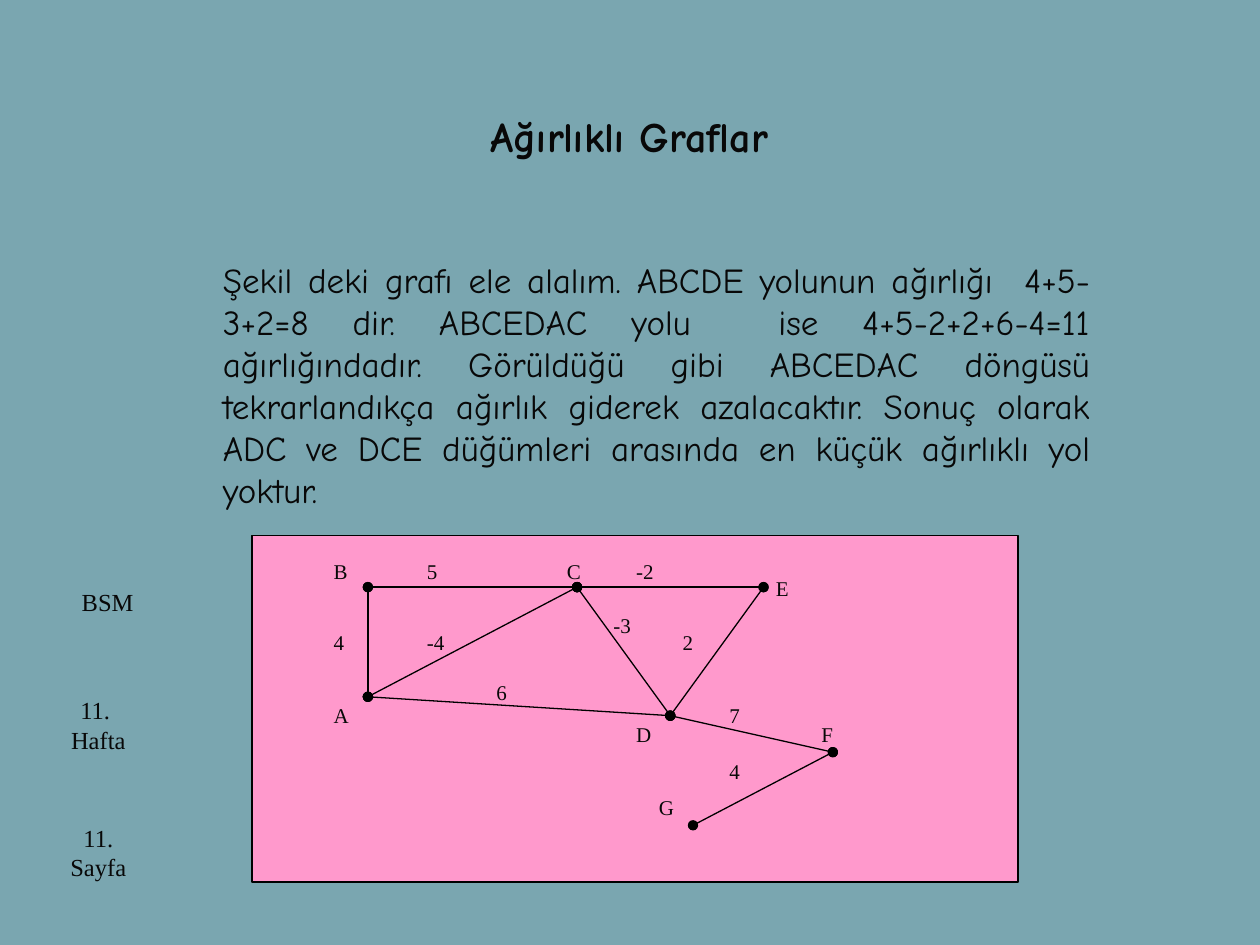
import pptx
import pptx.util
from pptx.dml.color import RGBColor
from pptx.enum.shapes import MSO_CONNECTOR, MSO_SHAPE
from pptx.enum.text import MSO_ANCHOR, MSO_AUTO_SIZE, PP_ALIGN
from pptx.oxml.ns import qn
from pptx.util import Inches, Pt

BACKGROUND = RGBColor(0x7A, 0xA6, 0xB0)
PANEL = RGBColor(0xFF, 0x99, 0xCC)
TEXT = RGBColor(0x08, 0x08, 0x08)
BLACK = RGBColor(0, 0, 0)
COMIC, TIMES = "Comic Neue", "Times New Roman"

TITLE = "Ağırlıklı Graflar"
BODY = (
    "Şekil deki grafı ele alalım. ABCDE yolunun ağırlığı  4+5-3+2=8 dir. "
    "ABCEDAC yolu  ise 4+5-2+2+6-4=11 ağırlığındadır. Görüldüğü gibi ABCEDAC "
    "döngüsü tekrarlandıkça ağırlık giderek azalacaktır. Sonuç olarak ADC ve "
    "DCE düğümleri arasında en küçük ağırlıklı yol yoktur."
)
# text, box, alignment
SIDE_NOTES = [
    ("BSM", (0.55, 4.61, 0.62, 0.34), PP_ALIGN.LEFT),
    ("11.  Hafta", (0.39, 5.47, 0.78, 0.7), PP_ALIGN.CENTER),
    ("11. Sayfa", (0.39, 6.48, 0.78, 0.62), PP_ALIGN.CENTER),
]
PANEL_BOX = (2, 4.25, 6.08, 2.75)
LABEL_SIZE = (0.92, 0.58)
# node: (position, label corner)
NODES = {
    "A": ((2.92, 5.53), (2.55, 5.53)),
    "B": ((2.92, 4.66), (2.55, 4.38)),
    "C": ((4.58, 4.66), (4.4, 4.38)),
    "D": ((5.32, 5.68), (4.95, 5.68)),
    "E": ((6.06, 4.66), (6.06, 4.52)),
    "F": ((6.61, 5.97), (6.42, 5.68)),
    "G": ((5.5, 6.55), (5.13, 6.26)),
}
# start, end, weight, weight label corner
EDGES = [
    ("B", "C", "5", (3.29, 4.38)),
    ("C", "D", "-3", (4.77, 4.81)),
    ("D", "E", "2", (5.32, 4.95)),
    ("E", "C", "-2", (4.95, 4.38)),
    ("B", "A", "4", (2.55, 4.95)),
    ("A", "C", "-4", (3.29, 4.95)),
    ("A", "D", "6", (3.84, 5.34)),
    ("D", "F", "7", (5.69, 5.53)),
    ("F", "G", "4", (5.69, 5.97)),
]


def inches(values):
    return [Inches(value) for value in values]


def write(shape, text, alignment=PP_ALIGN.LEFT, **font_format):
    frame = shape.text_frame
    frame.text = text
    frame_format = {"word_wrap": True, "auto_size": MSO_AUTO_SIZE.NONE,
                    "vertical_anchor": MSO_ANCHOR.TOP}
    for name, value in frame_format.items():
        setattr(frame, name, value)
    paragraph = frame.paragraphs[0]
    paragraph.alignment = alignment
    font = paragraph.runs[0].font
    font.color.rgb = TEXT
    for name, value in font_format.items():
        setattr(font, name, value)


def add_text(shapes, text, box, alignment=PP_ALIGN.LEFT, **font_format):
    write(shapes.add_textbox(*inches(box)), text, alignment, **font_format)


def add_edge(shapes, start, end):
    """Draw a line with a round node dot at both ends."""
    edge = shapes.add_connector(MSO_CONNECTOR.STRAIGHT, *inches(start + end))
    edge.line.color.rgb = BLACK
    edge.line.width = Pt(0.75)
    properties = edge._element.spPr
    line = properties.find(qn("a:ln"))
    for tag in ("a:headEnd", "a:tailEnd"):
        line.append(line.makeelement(qn(tag), {"type": "oval"}))
    properties.append(properties.makeelement(qn("a:effectLst"), {}))


def add_graph(slide):
    shapes = slide.shapes.add_group_shape().shapes
    panel = shapes.add_shape(MSO_SHAPE.RECTANGLE, *inches(PANEL_BOX))
    panel.shadow.inherit = False
    panel.fill.solid()
    panel.fill.fore_color.rgb = PANEL
    panel.line.color.rgb = BLACK
    panel.line.width = Pt(0.75)

    for start, end, _, _ in EDGES:
        add_edge(shapes, NODES[start][0], NODES[end][0])
    labels = [(name, corner) for name, (_, corner) in NODES.items()]
    labels += [(weight, corner) for _, _, weight, corner in EDGES]
    for text, corner in labels:
        add_text(shapes, text, corner + LABEL_SIZE, name=TIMES, size=Pt(12))


def main():
    presentation = pptx.Presentation()
    presentation.slide_width, presentation.slide_height = inches((10, 7.5))
    slide = presentation.slides.add_slide(presentation.slide_layouts[5])
    slide.background.fill.solid()
    slide.background.fill.fore_color.rgb = BACKGROUND

    title = slide.shapes.title
    title.left, title.top, title.width, title.height = inches((3.12, 0.83, 3.75, 0.5))
    write(title, TITLE, PP_ALIGN.CENTER, name=COMIC, size=Pt(24), bold=True)
    add_text(slide.shapes, BODY, (1.67, 2, 7.08, 2.43), PP_ALIGN.JUSTIFY,
             name=COMIC, size=Pt(20))
    add_graph(slide)
    for text, box, alignment in SIDE_NOTES:
        add_text(slide.shapes, text, box, alignment, name=TIMES, size=Pt(14))
    presentation.save("out.pptx")


if __name__ == "__main__":
    main()
